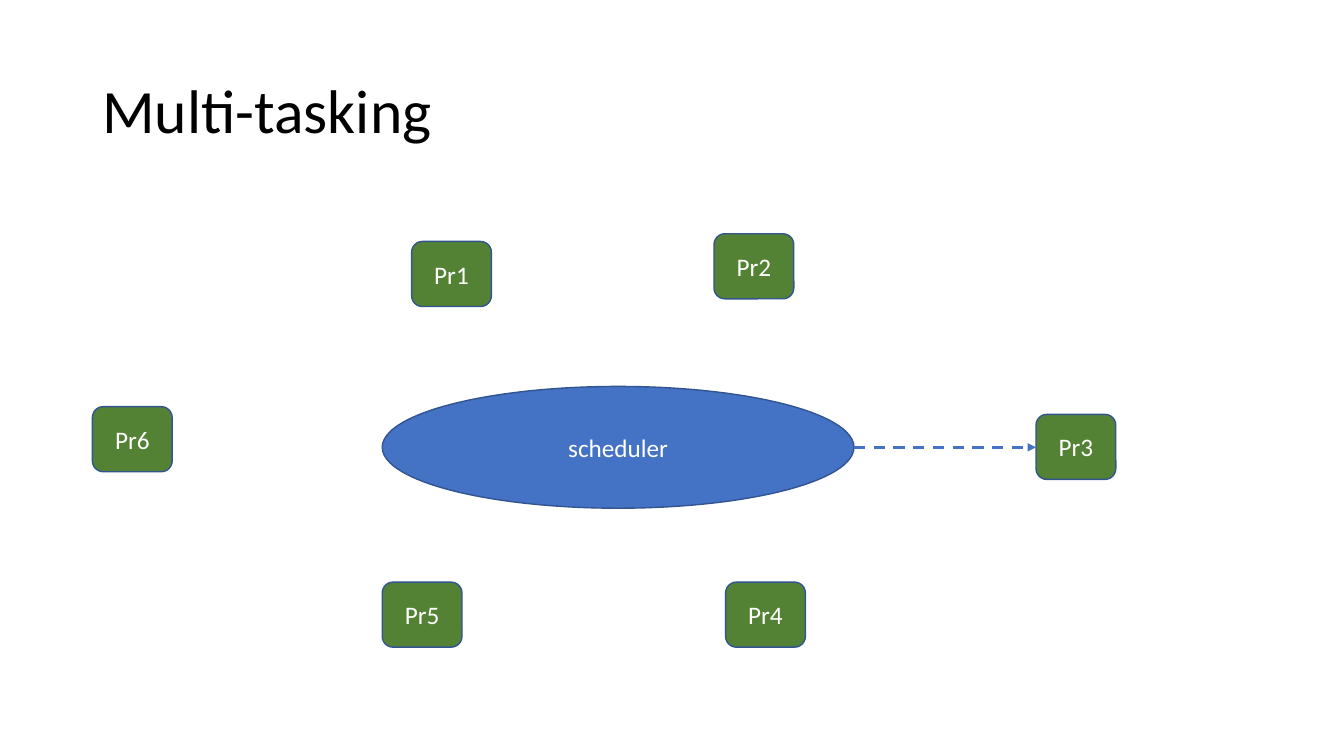
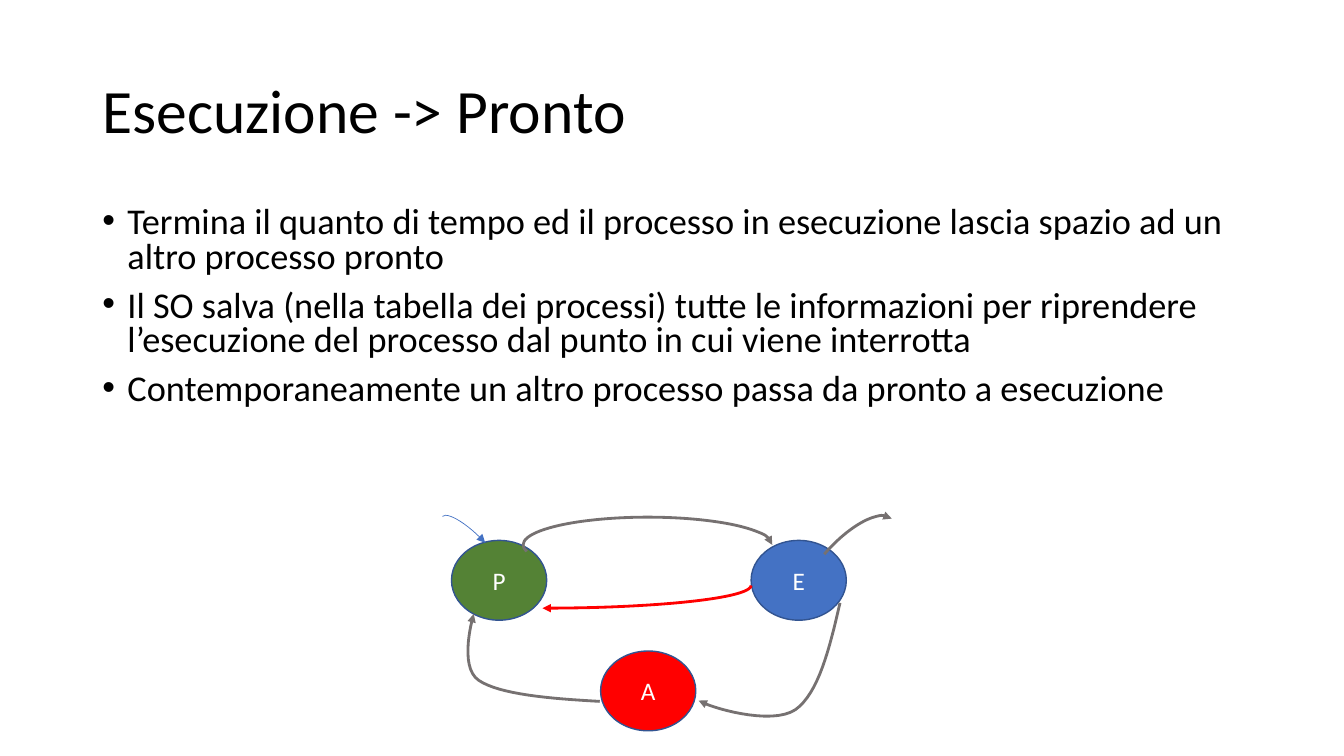
import pptx
import pptx.util
import pptx.dml.color
import pptx.enum.dml
import pptx.enum.shapes
import pptx.enum.text
import pptx.oxml.ns
import lxml.etree

Pt = pptx.util.Pt
RGBColor = pptx.dml.color.RGBColor
SHAPE = pptx.enum.shapes.MSO_SHAPE
MIDDLE = pptx.enum.text.MSO_ANCHOR.MIDDLE
qn = pptx.oxml.ns.qn

BLACK = RGBColor(0x00, 0x00, 0x00)
WHITE = RGBColor(0xFF, 0xFF, 0xFF)
BLUE = RGBColor(0x44, 0x72, 0xC4)
OUTLINE = RGBColor(0x32, 0x54, 0x91)
GREEN = RGBColor(0x54, 0x82, 0x35)
RED = RGBColor(0xFF, 0x00, 0x00)
GRAY = RGBColor(0x76, 0x71, 0x71)
FONT = "Calibri"
MARGIN = 66
CONTENT_WIDTH = 828


def add_node(slide, kind, left, top, width, height, fill, label):
    node = slide.shapes.add_shape(kind, Pt(left), Pt(top), Pt(width), Pt(height))
    node.shadow.inherit = False
    node.fill.solid()
    node.fill.fore_color.rgb = fill
    node.line.color.rgb = OUTLINE
    node.line.width = Pt(1)
    node.text_frame.vertical_anchor = MIDDLE
    paragraph = node.text_frame.paragraphs[0]
    paragraph.alignment = pptx.enum.text.PP_ALIGN.CENTER
    run = paragraph.add_run()
    run.text = label
    run.font.name = FONT
    run.font.size = Pt(18)
    run.font.color.rgb = WHITE


def style_arrow(line, color, width):
    line.color.rgb = color
    line.width = Pt(width)
    outline = line._get_or_add_ln()
    lxml.etree.SubElement(outline, qn("a:tailEnd"), type="triangle")


deck = pptx.Presentation()
deck.slide_width = Pt(960)
deck.slide_height = Pt(540)

slides = []
for heading in ("Multi-tasking", "Esecuzione -> Pronto"):
    slide = deck.slides.add_slide(deck.slide_layouts[6])
    slides.append(slide)
    title = slide.shapes.add_textbox(Pt(MARGIN), Pt(28.8), Pt(CONTENT_WIDTH), Pt(104.4))
    title.text_frame.word_wrap = True
    title.text_frame.vertical_anchor = MIDDLE
    paragraph = title.text_frame.paragraphs[0]
    paragraph.line_spacing = 0.9
    run = paragraph.add_run()
    run.text = heading
    run.font.name = FONT
    run.font.size = Pt(44)
    run.font.color.rgb = BLACK

multitasking, transition = slides

add_node(multitasking, SHAPE.OVAL, 273, 276, 337, 87, BLUE, "scheduler")
process_corners = [(294, 172.5), (510, 167), (740, 296), (518.3, 415.8), (273, 415.8), (66, 290.5)]
for number, (left, top) in enumerate(process_corners, start=1):
    add_node(multitasking, SHAPE.ROUNDED_RECTANGLE, left, top, 57, 46.5, GREEN, f"Pr{number}")

dispatch = multitasking.shapes.add_connector(
    pptx.enum.shapes.MSO_CONNECTOR.STRAIGHT, Pt(610), Pt(319.5), Pt(740), Pt(319.5))
dispatch.line.dash_style = pptx.enum.dml.MSO_LINE.DASH
style_arrow(dispatch.line, BLUE, 2)
lxml.etree.SubElement(dispatch._element.spPr, qn("a:effectLst"))

points = [
    "Termina il quanto di tempo ed il processo in esecuzione lascia spazio ad un altro processo pronto",
    "Il SO salva (nella tabella dei processi) tutte le informazioni per riprendere "
    "l’esecuzione del processo dal punto in cui viene interrotta",
    "Contemporaneamente un altro processo passa da pronto a esecuzione",
]
body = transition.shapes.add_textbox(Pt(MARGIN), Pt(144), Pt(CONTENT_WIDTH), Pt(155))
body.text_frame.word_wrap = True
for index, point in enumerate(points):
    paragraph = body.text_frame.add_paragraph() if index else body.text_frame.paragraphs[0]
    properties = paragraph._p.get_or_add_pPr()
    properties.set("marL", str(Pt(18)))
    properties.set("indent", str(Pt(-18)))
    lxml.etree.SubElement(properties, qn("a:buFont"), typeface="Arial")
    lxml.etree.SubElement(properties, qn("a:buChar"), char="•")
    paragraph.line_spacing = 0.8
    if index:
        paragraph.space_before = Pt(10)
    run = paragraph.add_run()
    run.text = point
    run.font.name = FONT
    run.font.size = Pt(25.9)
    run.font.color.rgb = BLACK

states = [("P", 322.5, 386, GREEN), ("E", 536.5, 386, BLUE), ("A", 429, 465, RED)]
for label, left, top, fill in states:
    add_node(transition, SHAPE.OVAL, left, top, 68, 57, fill, label)

arcs = [
    (329, 360, 16, 58.5, 314.3, 162, 21.8, BLUE, 0.5),
    (373.7, 369.4, 178, 39.6, 0, 106.13, 0, GRAY, 2),
    (238.5, 402, 298, 32.4, 0, 0, 54, RED, 2),
    (553, 389, 101.5, 39.6, 310.9, 162, 0, GRAY, 2),
]
for left, top, width, height, rotation, start, end, color, weight in arcs:
    arc = transition.shapes.add_shape(SHAPE.ARC, Pt(left), Pt(top), Pt(width), Pt(height))
    arc.shadow.inherit = False
    arc.fill.background()
    arc.rotation = rotation
    arc.adjustments[0] = start
    arc.adjustments[1] = end
    style_arrow(arc.line, color, weight)

waiting_to_ready = [(428.4, 501), (392.4, 499), (357, 496), (342, 486),
                    (327, 476), (338.4, 438.5), (338.4, 438.5)]
running_to_waiting = [(600, 430.6), (592.6, 463), (584.6, 495.4), (568, 507),
                      (550.8, 518.4), (507, 505.4), (499, 500.4)]
STEPS = 16
for controls in (waiting_to_ready, running_to_waiting):
    vertices = []
    for first in range(0, len(controls) - 1, 3):
        segment = controls[first:first + 4]
        for step in range(1, STEPS + 1):
            t = step / STEPS
            weights = ((1 - t) ** 3, 3 * t * (1 - t) ** 2, 3 * t ** 2 * (1 - t), t ** 3)
            x, y = (sum(w * c for w, c in zip(weights, axis)) for axis in zip(*segment))
            vertices.append((Pt(x), Pt(y)))
    start_x, start_y = controls[0]
    builder = transition.shapes.build_freeform(Pt(start_x), Pt(start_y))
    builder.add_line_segments(vertices, close=False)
    curve = builder.convert_to_shape()
    curve.shadow.inherit = False
    curve.fill.background()
    style_arrow(curve.line, GRAY, 2)

deck.save("out.pptx")
